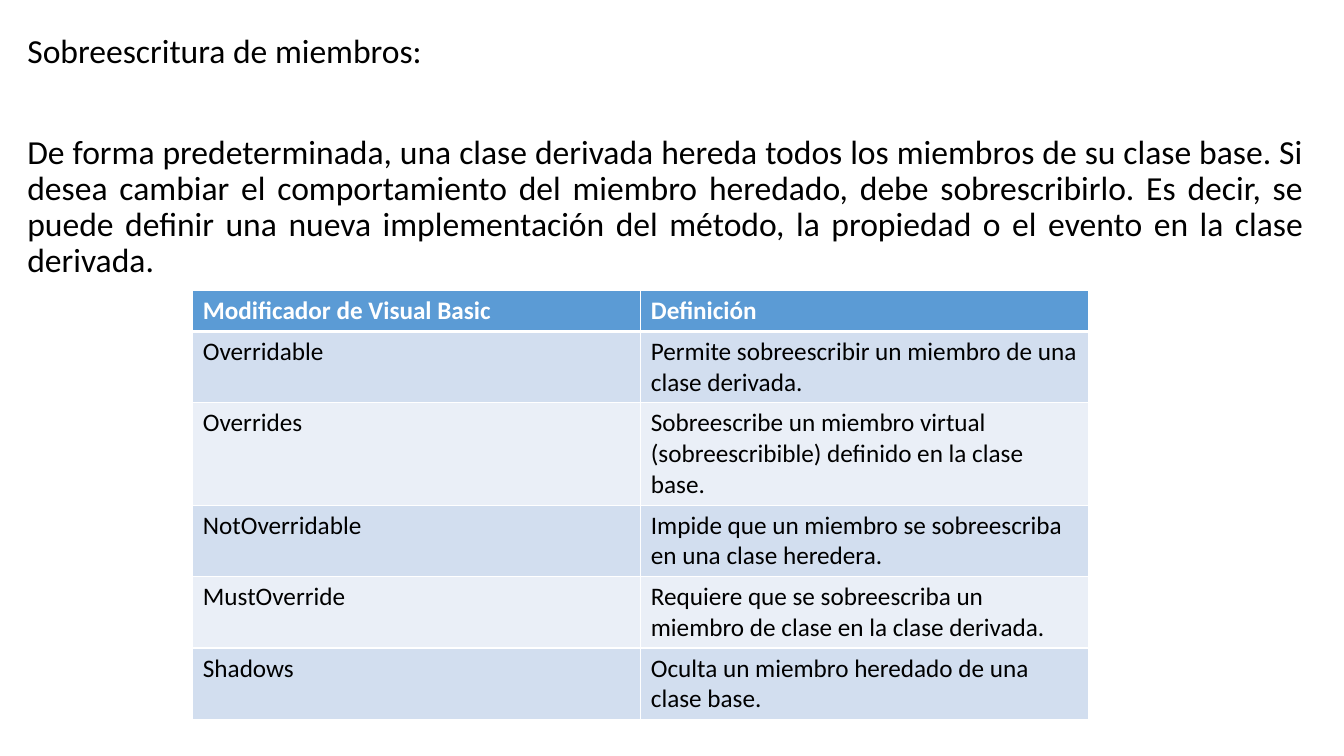
from lxml.etree import SubElement
from pptx import Presentation
from pptx.dml.color import RGBColor
from pptx.enum.text import MSO_ANCHOR, PP_ALIGN
from pptx.oxml.ns import qn
from pptx.util import Cm, Pt

BLACK = RGBColor(0x00, 0x00, 0x00)
WHITE = RGBColor(0xFF, 0xFF, 0xFF)
HEADER_BLUE = RGBColor(0x5B, 0x9B, 0xD5)
BAND_DARK = RGBColor(0xD2, 0xDE, 0xEF)
BAND_LIGHT = RGBColor(0xEA, 0xEF, 0xF7)

HEADING = "Sobreescritura de miembros:"
EXPLANATION = (
    "De forma predeterminada, una clase derivada hereda todos los miembros de su clase base. "
    "Si desea cambiar el comportamiento del miembro heredado, debe sobrescribirlo. "
    "Es decir, se puede definir una nueva implementación del método, la propiedad o el evento "
    "en la clase derivada."
)
MODIFIERS = [
    ("Modificador de Visual Basic", "Definición"),
    ("Overridable", "Permite sobreescribir un miembro de una clase derivada."),
    ("Overrides", "Sobreescribe un miembro virtual (sobreescribible) definido en la clase base."),
    ("NotOverridable", "Impide que un miembro se sobreescriba en una clase heredera."),
    ("MustOverride", "Requiere que se sobreescriba un miembro de clase en la clase derivada."),
    ("Shadows", "Oculta un miembro heredado de una clase base."),
]
ROW_HEIGHTS = [1.03, 1.8, 2.58, 1.8, 1.8, 1.8]


def write_text(paragraph, text, font="Calibri", size=18, color=BLACK, bold=False,
               alignment=PP_ALIGN.LEFT, line_spacing=1.0, space_before=0):
    paragraph.alignment = alignment
    paragraph.line_spacing = line_spacing
    paragraph.space_before = Pt(space_before)
    run = paragraph.add_run()
    run.text = text
    run.font.name = font
    run.font.size = Pt(size)
    run.font.bold = bold
    run.font.color.rgb = color


def set_border(cell, side, width):
    line = SubElement(cell._tc.get_or_add_tcPr(), qn(f"a:ln{side}"), w=str(Pt(width)))
    fill = SubElement(line, qn("a:solidFill"))
    SubElement(fill, qn("a:srgbClr"), val=str(WHITE))


class SlideBuilder:
    """Adds consistently styled text and tables to one slide."""

    def __init__(self, slide, font="Calibri"):
        self.slide = slide
        self.font = font

    def add_text(self, left, top, width, height, paragraphs):
        shape = self.slide.shapes.add_textbox(Cm(left), Cm(top), Cm(width), Cm(height))
        frame = shape.text_frame
        frame.word_wrap = True
        frame.vertical_anchor = MSO_ANCHOR.TOP
        for index, (text, space_before) in enumerate(paragraphs):
            paragraph = frame.paragraphs[0] if index == 0 else frame.add_paragraph()
            write_text(paragraph, text, font=self.font, size=24, alignment=PP_ALIGN.JUSTIFY,
                       line_spacing=0.9, space_before=space_before)

    def add_table(self, left, top, width, rows, heights):
        shape = self.slide.shapes.add_table(len(rows), len(rows[0]), Cm(left), Cm(top),
                                            Cm(width), Cm(sum(heights)))
        table = shape.table
        for row_index, (texts, height) in enumerate(zip(rows, heights)):
            table.rows[row_index].height = Cm(height)
            for column_index, text in enumerate(texts):
                self.fill_cell(table.cell(row_index, column_index), text, row_index)

    def fill_cell(self, cell, text, row_index):
        is_header = row_index == 0
        set_border(cell, "L", 1)
        set_border(cell, "R", 1)
        set_border(cell, "T", 3 if row_index == 1 else 1)
        set_border(cell, "B", 3 if is_header else 1)
        band = BAND_DARK if row_index % 2 else BAND_LIGHT
        cell.fill.solid()
        cell.fill.fore_color.rgb = HEADER_BLUE if is_header else band
        write_text(cell.text_frame.paragraphs[0], text, font=self.font, bold=is_header,
                   color=WHITE if is_header else BLACK)


presentation = Presentation()
presentation.slide_width = Cm(33.87)
presentation.slide_height = Cm(19.05)
blank_layout = presentation.slide_layouts[6]
builder = SlideBuilder(presentation.slides.add_slide(blank_layout))
builder.add_text(0.44, 0.74, 32.66, 17.27, [(HEADING, 10), (EXPLANATION, 46)])
builder.add_table(4.86, 7.32, 22.58, MODIFIERS, ROW_HEIGHTS)
presentation.save("out.pptx")
